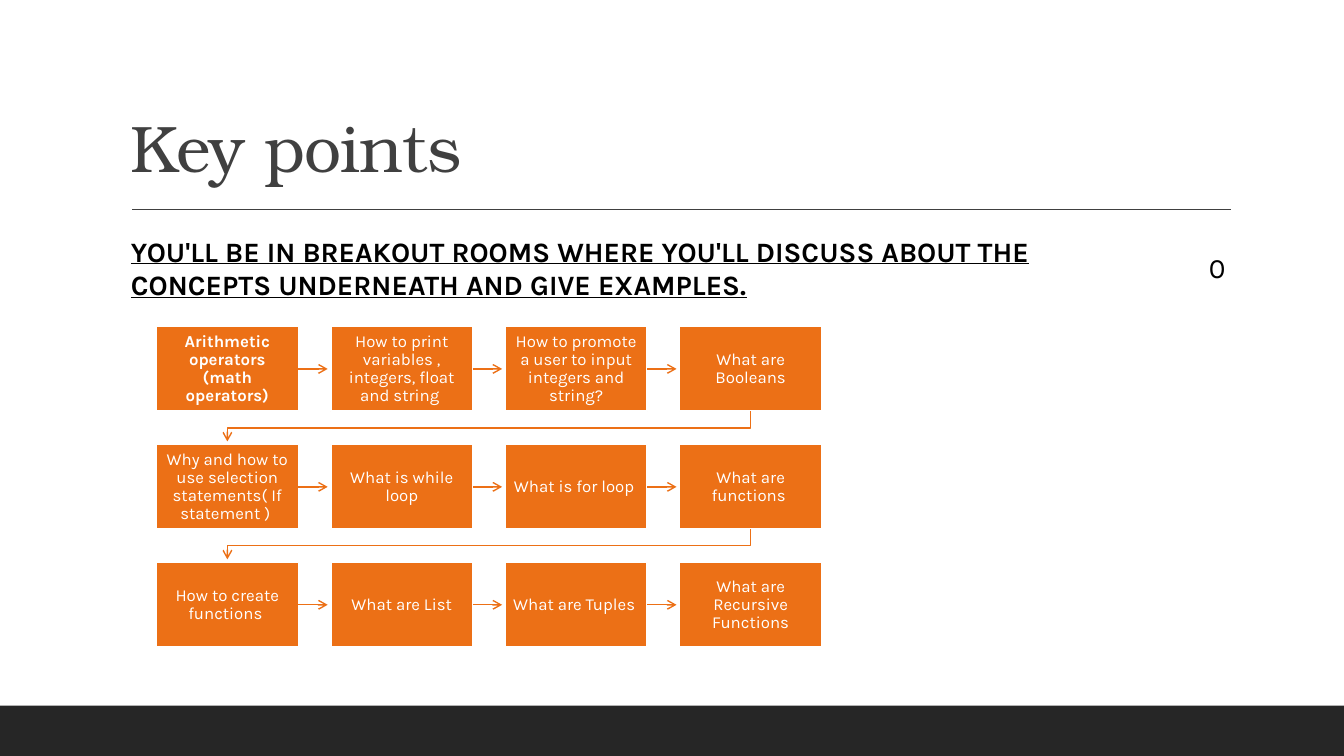
from pptx import Presentation
from pptx.dml.color import RGBColor
from pptx.enum.shapes import MSO_CONNECTOR as Connector, MSO_SHAPE as Preset
from pptx.enum.text import MSO_ANCHOR as Anchor, PP_ALIGN as Align
from pptx.oxml.ns import qn
from pptx.util import Inches, Pt
from lxml.etree import SubElement

TOPICS = [
    ["Arithmetic operators (math operators)",
     "How to print variables , integers, float and string ",
     "How to promote a user to input integers and string?",
     "What are Booleans"],
    ["Why and how to use selection statements( If statement ) ",
     "What is while loop",
     "What is for loop ",
     "What are functions "],
    ["How to create functions ",
     "What are List",
     "What are Tuples ",
     "What are Recursive Functions"],
]
LEFT, TOP = 1.55, 3.24
BOX_WIDTH, BOX_HEIGHT = 1.41, 0.84
COLUMN_STEP, ROW_STEP = 1.73, 1.17
ARROW_GAP = 0.03


def color(value):
    return RGBColor.from_string(value)


def apply(target, values):
    for name, value in values.items():
        setattr(target, name, value)


class SlideBuilder:
    heading_font = "TeX Gyre Bonum"
    body_font = "Karla"
    accent = "EC7016"
    dark = "404040"
    footer = "262626"
    white = "FFFFFF"
    black = "000000"

    def __init__(self, page):
        self.page = page

    def set_text(self, shape, text, ink, font, frame=None, paragraph=None):
        apply(shape.text_frame, {"word_wrap": True, "vertical_anchor": Anchor.MIDDLE, **(frame or {})})
        para = shape.text_frame.paragraphs[0]
        apply(para, paragraph or {})
        span = para.add_run()
        span.text = text
        apply(span.font, {"name": self.body_font, **font})
        span.font.color.rgb = color(ink)
        return span

    def text(self, at, text, ink, font, frame=None, paragraph=None):
        box = self.page.shapes.add_textbox(*map(Inches, at))
        return self.set_text(box, text, ink, font, frame, paragraph)

    def rectangle(self, at, fill, border=None):
        box = self.page.shapes.add_shape(Preset.RECTANGLE, *map(Inches, at))
        box.shadow.inherit = False
        box.fill.solid()
        box.fill.fore_color.rgb = color(fill)
        if border:
            box.line.color.rgb = color(border)
            box.line.width = Pt(1.25)
        else:
            box.line.fill.background()
        return box

    def topic(self, x, y, text, bold):
        box = self.rectangle((x, y, BOX_WIDTH, BOX_HEIGHT), self.accent, self.white)
        margins = {f"margin_{side}": Inches(0.07) for side in ("left", "top", "right", "bottom")}
        spacing = {"alignment": Align.CENTER, "line_spacing": 0.9, "space_after": Pt(4.2)}
        self.set_text(box, text, self.white, {"size": Pt(12), "bold": bold}, margins, spacing)
        return box

    def stroke(self, shape, ink, arrow):
        shape.line.color.rgb = color(ink)
        shape.line.width = Pt(1)
        if arrow:
            SubElement(shape._element.spPr.find(qn("a:ln")), qn("a:tailEnd"), type="arrow")

    def line(self, start, end, ink, arrow=False, source=None):
        link = self.page.shapes.add_connector(Connector.STRAIGHT, *map(Inches, start + end))
        if source is not None:
            link.begin_connect(source, 3)
        self.stroke(link, ink, arrow)
        SubElement(link._element.spPr, qn("a:effectLst"))

    def bent_arrow(self, points):
        start, *others = [tuple(map(Inches, point)) for point in points]
        builder = self.page.shapes.build_freeform(*start)
        builder.add_line_segments(others, close=False)
        route = builder.convert_to_shape()
        route.shadow.inherit = False
        route.fill.background()
        self.stroke(route, self.accent, True)

    def topic_flow(self, rows):
        for row, topics in enumerate(rows):
            y = TOP + row * ROW_STEP
            for column, text in enumerate(topics):
                x = LEFT + column * COLUMN_STEP
                box = self.topic(x, y, text, row == column == 0)
                if column < len(topics) - 1:
                    middle = y + BOX_HEIGHT / 2
                    self.line((x + BOX_WIDTH, middle), (x + COLUMN_STEP - ARROW_GAP, middle),
                              self.accent, True, box)
            if row < len(rows) - 1:
                first = LEFT + BOX_WIDTH / 2
                last = first + (len(topics) - 1) * COLUMN_STEP
                bottom, target = y + BOX_HEIGHT, y + ROW_STEP
                turn = (bottom + target) / 2
                self.bent_arrow([(last, bottom), (last, turn),
                                 (first, turn), (first, target - ARROW_GAP)])


def main():
    deck = Presentation()
    apply(deck, {"slide_width": Inches(13.33), "slide_height": Inches(7.5)})
    slide = SlideBuilder(deck.slides.add_slide(deck.slide_layouts[6]))

    slide.rectangle((0, 7, 13.33, 0.5), slide.footer)
    slide.line((1.31, 2.08), (12.21, 2.08), slide.dark)
    title = slide.text((1.2, 0.31, 11, 1.59), "Key points", slide.dark,
                       {"name": slide.heading_font, "size": Pt(47)},
                       {"vertical_anchor": Anchor.BOTTOM}, {"line_spacing": 0.9})
    title.font._element.set("spc", "-50")

    spacing = {"space_before": Pt(12), "space_after": Pt(2)}
    slide.text((1.2, 2.25, 9.74, 0.81),
               "YOU'LL BE IN BREAKOUT ROOMS WHERE YOU'LL DISCUSS ABOUT THE CONCEPTS "
               "UNDERNEATH AND GIVE EXAMPLES.",
               slide.black, {"size": Pt(20), "bold": True, "underline": True}, None, spacing)
    slide.topic_flow(TOPICS)
    slide.text((11.89, 2.25, 0.31, 0.81), "0", slide.black, {"size": Pt(20)}, None, spacing)
    deck.save("out.pptx")


if __name__ == "__main__":
    main()
